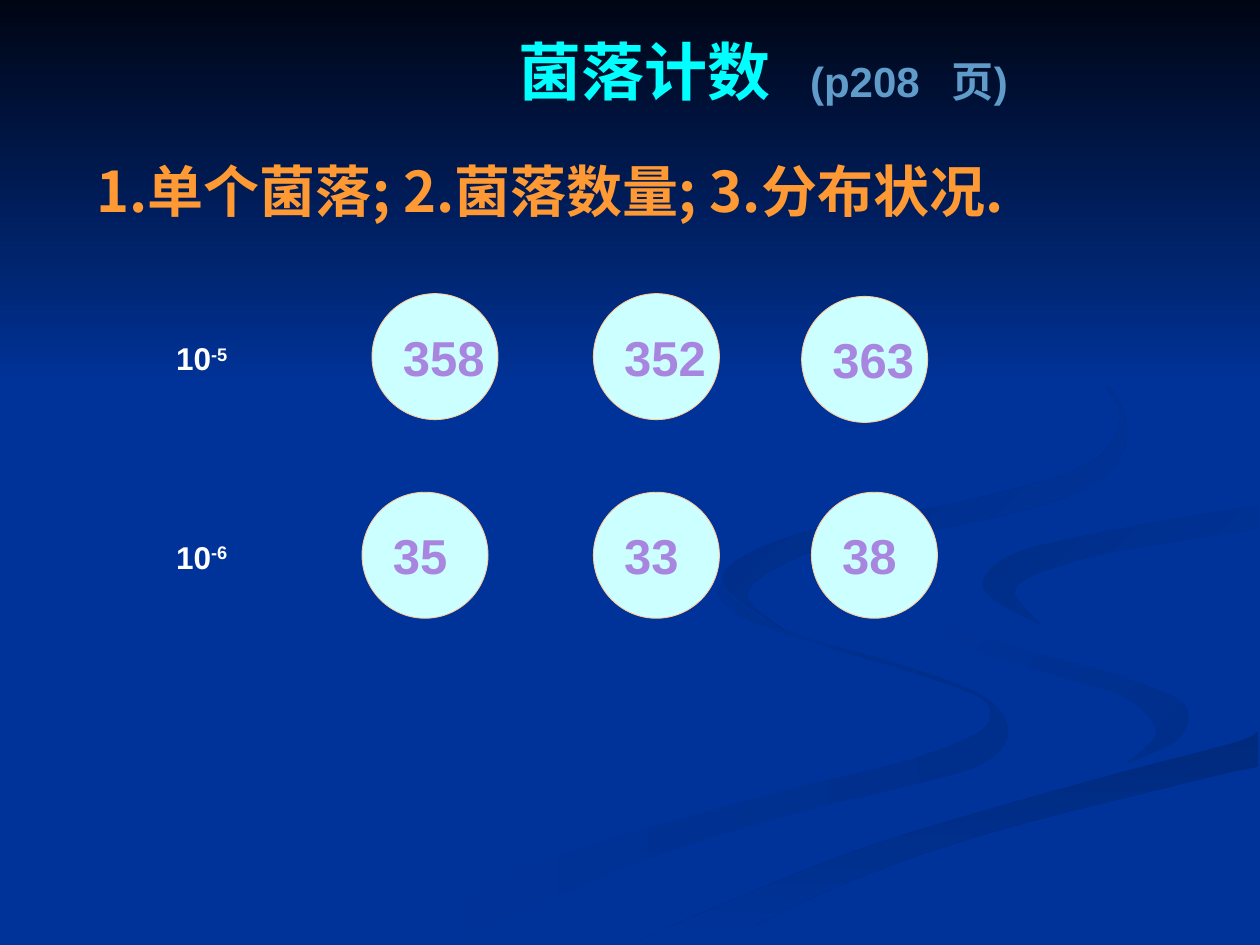
import dataclasses

import lxml.etree
import pptx
import pptx.dml.color
import pptx.enum.shapes
import pptx.enum.text
import pptx.oxml.ns
import pptx.util

Pt = pptx.util.Pt
RGBColor = pptx.dml.color.RGBColor
MIDDLE = pptx.enum.text.MSO_ANCHOR.MIDDLE
ALIGN = pptx.enum.text.PP_ALIGN
SHAPE = pptx.enum.shapes.MSO_SHAPE
qn = pptx.oxml.ns.qn

NAVY = RGBColor(0x00, 0x33, 0x99)
NIGHT = RGBColor(0x00, 0x05, 0x14)
LEFT_SHADE = RGBColor(0x00, 0x2E, 0x8B)
FRONT_SHADE = RGBColor(0x00, 0x2A, 0x7D)
RIGHT_SHADE = RGBColor(0x00, 0x2D, 0x86)
TOP_SHADE = RGBColor(0x00, 0x2B, 0x82)
CYAN = RGBColor(0x00, 0xFF, 0xFF)
ORANGE = RGBColor(0xFF, 0x99, 0x33)
STEEL = RGBColor(0x60, 0x9C, 0xC9)
WHITE = RGBColor(0xFF, 0xFF, 0xFF)
PLATE_FILL = RGBColor(0xCC, 0xFF, 0xFF)
PLATE_RIM = RGBColor(0xFF, 0xCC, 0x99)
VIOLET = RGBColor(0xA8, 0x86, 0xE0)
CJK = "Noto Sans CJK SC"
LATIN = "Arial"

SLIDE_W, SLIDE_H = 720, 540
SKY_SHARE = 0.41
CURVE_STEPS = 5
UNITS_PER_POINT = 10


@dataclasses.dataclass
class Stream:
    start: RGBColor
    end: RGBColor
    angle: int
    outer: list
    inner: list


STREAMS = [
    Stream(NAVY, LEFT_SHADE, 0,
           [(414, 331), (410, 340), (427, 354), (471, 369), (524, 385), (559, 398), (566, 408),
            (557, 420), (514, 436), (444, 453), (330, 485), (271, 509), (216, 539)],
           [(414, 331), (413, 334), (428, 349), (462, 365), (515, 380), (562, 398), (576, 418),
            (562, 436), (519, 449), (449, 466), (359, 495), (260, 539)]),
    Stream(NAVY, LEFT_SHADE, 45,
           [(521, 334), (528, 351), (552, 369), (603, 386), (642, 398), (661, 418), (644, 436)],
           [(521, 334), (536, 353), (584, 371), (626, 382), (670, 398), (679, 410), (671, 424),
            (644, 436)]),
    Stream(FRONT_SHADE, NAVY, 90,
           [(362, 539), (410, 518), (501, 482), (624, 446), (703, 425), (719, 418)],
           [(411, 539), (482, 505), (565, 476), (683, 446), (719, 438)]),
    Stream(RIGHT_SHADE, NAVY, 45,
           [(595, 357), (570, 344), (562, 331), (583, 315), (647, 301), (719, 289)],
           [(595, 357), (580, 340), (588, 330), (607, 323), (632, 316), (674, 309), (719, 302)]),
    Stream(TOP_SHADE, NAVY, 45,
           [(549, 168), (607, 198), (634, 221), (644, 248), (631, 272), (594, 289), (532, 303),
            (467, 314), (427, 338), (448, 360)],
           [(549, 168), (609, 201), (631, 220), (640, 241), (620, 266), (549, 287), (467, 302),
            (420, 321), (416, 337), (448, 360)]),
]


def spline(a, b, c, d, t):
    return b + t * (c - a + t * (2 * a - 5 * b + 4 * c - d + t * (3 * (b - c) + d - a))) / 2


def smooth(knots):
    padded = [knots[0], *knots, knots[-1]]
    curve = [
        tuple(spline(*axis, step / CURVE_STEPS) for axis in zip(*padded[i:i + 4]))
        for i in range(len(knots) - 1)
        for step in range(CURVE_STEPS)
    ]
    return curve + [knots[-1]]


def fill_solid(fill, color):
    fill.solid()
    fill.fore_color.rgb = color


def fill_gradient(fill, start, end, angle):
    fill.gradient()
    fill.gradient_angle = 360 - angle if angle else 0
    for stop, color, position in zip(fill.gradient_stops, (start, end), (0, 1)):
        stop.color.rgb = color
        stop.position = position


def style_run(r, size, color, name):
    r.font.size = Pt(size)
    r.font.bold = True
    r.font.name = name
    r.font.color.rgb = color
    lxml.etree.SubElement(r.font._element, qn("a:ea")).set("typeface", CJK)


def write(sp, text, size, color, name=LATIN, wrap=False, align=ALIGN.LEFT, anchor=MIDDLE):
    tf = sp.text_frame
    tf.word_wrap = wrap
    tf.vertical_anchor = anchor
    p = tf.paragraphs[0]
    p.text = text
    p.alignment = align
    style_run(p.runs[0], size, color, name)
    return p


def add_label(s, x, y, w, h, *text_style, **layout):
    box = s.shapes.add_textbox(Pt(x), Pt(y), Pt(w), Pt(h))
    return write(box, *text_style, **layout)


def add_stream(s, x, y, stream):
    outline = smooth(stream.outer) + smooth(stream.inner)[::-1]
    points = [(px * UNITS_PER_POINT, py * UNITS_PER_POINT) for px, py in outline]
    builder = s.shapes.build_freeform(*points[0], scale=Pt(1 / UNITS_PER_POINT))
    builder.add_line_segments(points[1:], close=True)
    sp = builder.convert_to_shape(Pt(x), Pt(y))
    sp.shadow.inherit = False
    sp.line.fill.background()
    fill_gradient(sp.fill, stream.start, stream.end, stream.angle)


def add_backdrop(s, x, y, w, h):
    fill_solid(s.background.fill, NAVY)
    for stream in STREAMS:
        add_stream(s, x, y, stream)
    sky = s.shapes.add_shape(SHAPE.RECTANGLE, Pt(x), Pt(y), Pt(w), Pt(h * SKY_SHARE))
    sky.shadow.inherit = False
    sky.line.fill.background()
    fill_gradient(sky.fill, NIGHT, NAVY, 90)


def add_heading(s, x, y, w, h):
    top = pptx.enum.text.MSO_ANCHOR.TOP
    add_label(s, x, y, 323.3, h, "菌落计数", 36, CYAN, CJK,
              wrap=True, align=ALIGN.CENTER, anchor=top)
    page_w = 157.7
    p = add_label(s, x + w - page_w, y + 13, page_w, 36, "(p208\t页)", 24, STEEL,
                  wrap=True, anchor=top)
    tabs = lxml.etree.SubElement(p._p.get_or_add_pPr(), qn("a:tabLst"))
    tab = lxml.etree.SubElement(tabs, qn("a:tab"))
    tab.set("pos", str(Pt(81)))
    tab.set("algn", "l")


def add_criteria(s, x, y, w, h):
    add_label(s, x, y, w, h, "1.单个菌落; 2.菌落数量; 3.分布状况.", 32, ORANGE, CJK)


def add_plate(s, x, y, size, count):
    plate = s.shapes.add_shape(SHAPE.OVAL, Pt(x), Pt(y), Pt(size), Pt(size))
    plate.shadow.inherit = False
    fill_solid(plate.fill, PLATE_FILL)
    plate.line.color.rgb = PLATE_RIM
    plate.line.width = Pt(0.5)
    write(plate, count, 28, VIOLET)


def add_dilution_row(s, x, y, h, exponent, plates):
    label_h = 51
    p = add_label(s, x, y + (h - label_h) / 2 + 0.7, 79.2, label_h, "10", 18, WHITE)
    r = p.add_run()
    r.text = exponent
    style_run(r, 18, WHITE, LATIN)
    r.font._element.set("baseline", "30000")
    for dx, dy, count in plates:
        add_plate(s, x + dx, y + dy, h, count)


def main():
    prs = pptx.Presentation()
    prs.slide_width, prs.slide_height = Pt(SLIDE_W), Pt(SLIDE_H)
    s = prs.slides.add_slide(prs.slide_layouts[6])
    add_backdrop(s, 0, 0, SLIDE_W, SLIDE_H)
    add_heading(s, 206.6, 15.1, 406.9, 56.9)
    add_criteria(s, 48.2, 77.4, 612, 62.6)
    add_dilution_row(s, 93.6, 167.8, 72, "-5",
                     [(119, 0, "358"), (245.5, 0, "352"), (364.5, 1.6, "363")])
    add_dilution_row(s, 93.6, 281.3, 72, "-6",
                     [(113.3, 0, "35"), (245.5, 0, "33"), (370.1, 0, "38")])
    prs.save("out.pptx")


if __name__ == "__main__":
    main()
